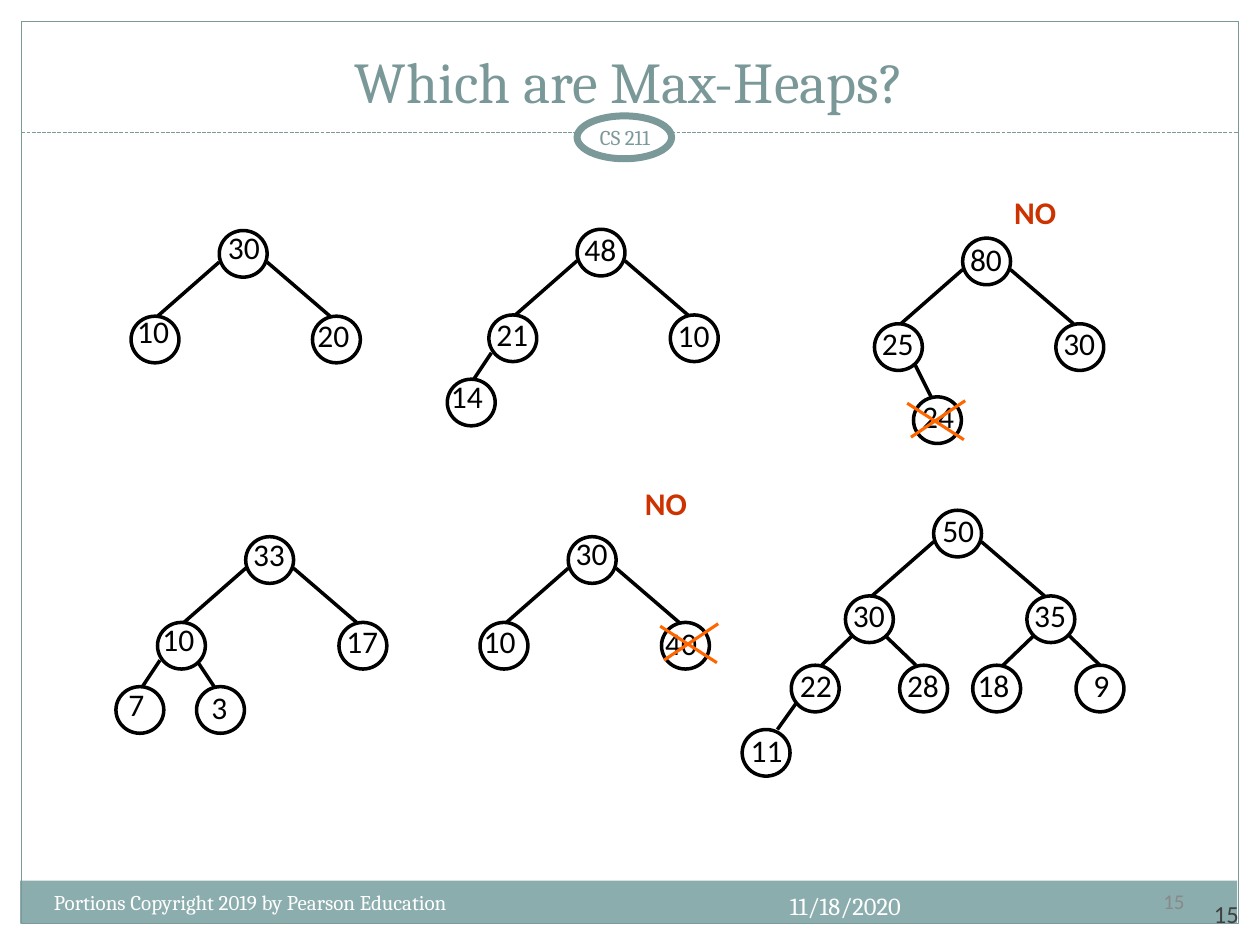
import collections

import pptx
import pptx.dml.color
import pptx.enum.dml
import pptx.enum.shapes
import pptx.enum.text
import pptx.oxml.ns
import pptx.util
from lxml import etree

Inches = pptx.util.Inches
RGBColor = pptx.dml.color.RGBColor
ALIGN = pptx.enum.text.PP_ALIGN
ANCHOR = pptx.enum.text.MSO_ANCHOR
SHAPES = pptx.enum.shapes.MSO_SHAPE

BLACK = RGBColor(0x00, 0x00, 0x00)
WHITE = RGBColor(0xFF, 0xFF, 0xFF)
TEAL = RGBColor(0x7C, 0x99, 0x9A)
TITLE_TEAL = RGBColor(0x7B, 0x98, 0x99)
FOOTER_TEAL = RGBColor(0x8C, 0xAD, 0xAE)
GREY = RGBColor(0x89, 0x89, 0x89)
DARK_GREY = RGBColor(0x40, 0x40, 0x40)
ORANGE = RGBColor(0xFF, 0x66, 0x00)
RED = RGBColor(0xCC, 0x33, 0x00)

NODE_WIDTH, NODE_HEIGHT = 0.38, 0.37

# step: parent corner to child corner; start and end: edge ends,
# measured from the parent corner and the child corner.
Branch = collections.namedtuple("Branch", "step start end")
LEFT = Branch((-0.7, 0.68), (0, 0.25), (0.21, 0))
RIGHT = Branch((0.74, 0.68), (0.38, 0.25), (0.14, 0))
SHORT_LEFT = Branch((-0.33, 0.51), (0.02, 0.3), (0.21, 0))
SHORT_RIGHT = Branch((0.31, 0.51), (0.31, 0.3), (0.14, 0))
DEEP_RIGHT = SHORT_RIGHT._replace(step=(0.31, 0.58))
MIDDLE_LEFT = Branch((-0.43, 0.55), (0.06, 0.31), (0.24, 0))
MIDDLE_RIGHT = Branch((0.43, 0.55), (0.31, 0.31), (0.13, 0))
OUTER_RIGHT = Branch((0.39, 0.55), (0.33, 0.31), (0.19, 0))
STEEP_LEFT = Branch((-0.39, 0.51), (0.04, 0.3), (0.28, 0))


def node(value, label_x, label_y, *children):
    """Describe a tree node; children are (branch, node) pairs."""
    return value, (label_x, label_y), children


TREES = [
    ((1.74, 1.83), node("30", -0.03, -0.07,
                        (LEFT, node("10", -0.05, -0.08)),
                        (RIGHT, node("20", -0.06, -0.05)))),
    ((4.58, 1.82), node("48", -0.04, -0.04,
                        (LEFT, node("21", -0.04, -0.05,
                                    (SHORT_LEFT, node("14", -0.07, -0.07)))),
                        (RIGHT, node("10", -0.04, -0.04)))),
    ((7.64, 1.89), node("80", -0.04, -0.03,
                        (LEFT, node("25", -0.04, -0.05,
                                    (DEEP_RIGHT, node("24", -0.03, -0.05)))),
                        (RIGHT, node("30", -0.04, -0.05)))),
    ((1.95, 4.26), node("33", -0.04, -0.06,
                        (LEFT, node("10", -0.06, -0.07,
                                    (SHORT_LEFT, node("7", 0, -0.06)),
                                    (SHORT_RIGHT, node("3", 0.02, -0.04)))),
                        (RIGHT, node("17", -0.04, -0.05)))),
    ((4.51, 4.26), node("30", -0.04, -0.07,
                        (LEFT, node("10", -0.07, -0.05)),
                        (RIGHT, node("40", -0.07, -0.04)))),
    ((7.41, 4.05), node("50", -0.03, -0.04,
                        (LEFT, node("30", -0.04, -0.05,
                                    (MIDDLE_LEFT, node("22", -0.03, -0.04,
                                                       (STEEP_LEFT, node("11", -0.03, -0.04)))),
                                    (MIDDLE_RIGHT, node("28", -0.04, -0.04)))),
                        (RIGHT, node("35", -0.04, -0.05,
                                     (MIDDLE_LEFT, node("18", -0.06, -0.04)),
                                     (OUTER_RIGHT, node("9", 0.04, -0.04)))))),
]


def offset(point, delta):
    return point[0] + delta[0], point[1] + delta[1]


def add_line(slide, start, end, color, width, dash=None):
    line = slide.shapes.add_connector(
        pptx.enum.shapes.MSO_CONNECTOR.STRAIGHT,
        *(Inches(value) for value in (*start, *end)))
    line.line.color.rgb = color
    line.line.width = pptx.util.Pt(width)
    if dash is not None:
        line.line.dash_style = dash
    etree.SubElement(line._element.spPr, pptx.oxml.ns.qn("a:effectLst"))


def add_outlined_shape(slide, kind, box, fill=None, line=None, width=0.75):
    shape = slide.shapes.add_shape(kind, *(Inches(value) for value in box))
    shape.shadow.inherit = False
    if fill is None:
        shape.fill.background()
    else:
        shape.fill.solid()
        shape.fill.fore_color.rgb = fill
    if line is None:
        shape.line.fill.background()
    else:
        shape.line.color.rgb = line
        shape.line.width = pptx.util.Pt(width)


def write_text(shape, text, size, color, font, align=ALIGN.LEFT,
               anchor=ANCHOR.TOP, bold=False, wrap=True):
    frame = shape.text_frame
    frame.word_wrap = wrap
    frame.vertical_anchor = anchor
    paragraph = frame.paragraphs[0]
    paragraph.alignment = align
    run = paragraph.add_run()
    run.text = text
    run.font.size = pptx.util.Pt(size)
    run.font.name = font
    run.font.bold = bold
    run.font.color.rgb = color


def add_text(slide, box, *text_settings, **options):
    shape = slide.shapes.add_textbox(*(Inches(value) for value in box))
    write_text(shape, *text_settings, **options)


def add_tree(slide, corner, tree):
    """Draw a node and, recursively, everything below it."""
    value, label_offset, children = tree
    placed = [(branch, offset(corner, branch.step), child)
              for branch, child in children]
    for branch, child_corner, _ in placed:
        add_line(slide, offset(corner, branch.start),
                 offset(child_corner, branch.end), BLACK, 2)
    add_outlined_shape(slide, SHAPES.OVAL, (*corner, NODE_WIDTH, NODE_HEIGHT),
                       WHITE, BLACK, 2)
    label_width = 0.45 if len(value) == 2 else 0.33
    add_text(slide, (*offset(corner, label_offset), label_width, 0.4),
             value, 18, BLACK, "Calibri", wrap=False)
    for _, child_corner, child in placed:
        add_tree(slide, child_corner, child)


def add_rejection(slide, cross, label):
    """Cross out a node and write NO beside its tree."""
    add_line(slide, offset(cross, (0, 0.02)), offset(cross, (0.45, 0.31)), ORANGE, 1.75)
    add_line(slide, offset(cross, (0.03, 0.29)), offset(cross, (0.46, 0)), ORANGE, 1.75)
    add_text(slide, (*label, 0.78, 0.4), "NO", 18, RED, "Calibri", bold=True)


def add_frame(slide):
    add_outlined_shape(slide, SHAPES.RECTANGLE, (0.16, 6.99, 9.66, 0.34), FOOTER_TEAL)
    add_outlined_shape(slide, SHAPES.RECTANGLE, (0.17, 0.17, 9.66, 7.16), line=TEAL)
    add_line(slide, (0.17, 1.05), (9.83, 1.05), TEAL, 0.75,
             pptx.enum.dml.MSO_LINE.SQUARE_DOT)
    add_outlined_shape(slide, SHAPES.OVAL, (4.58, 0.92, 0.75, 0.34), WHITE, TEAL, 4)
    add_text(slide, (4.5, 0.92, 0.92, 0.33), "CS 211", 12, TEAL, "Cambria",
             align=ALIGN.CENTER, anchor=ANCHOR.MIDDLE)


def add_title(slide, text):
    title = slide.shapes.title
    title.left, title.top = Inches(0.33), Inches(0.25)
    title.width, title.height = Inches(9.33), Inches(0.71)
    write_text(title, text, 33, TITLE_TEAL, "Cambria",
               align=ALIGN.CENTER, anchor=ANCHOR.BOTTOM)


def add_footer(slide):
    add_text(slide, (0.33, 7.01, 4.08, 0.4),
             "Portions Copyright 2019 by Pearson Education", 12, WHITE, "Cambria")
    add_text(slide, (5.59, 7.02, 1.66, 0.4), "11/18/2020", 14, WHITE, "Cambria",
             align=ALIGN.RIGHT)
    add_text(slide, (7.17, 6.95, 2.33, 0.4), "15", 12, GREY, "Calibri",
             align=ALIGN.RIGHT, anchor=ANCHOR.MIDDLE)
    add_text(slide, (9.43, 7.09, 0.5, 0.33), "15", 14, DARK_GREY, "Calibri",
             align=ALIGN.RIGHT, anchor=ANCHOR.MIDDLE)


def main():
    presentation = pptx.Presentation()
    presentation.slide_width = Inches(10)
    presentation.slide_height = Inches(7.5)
    slide = presentation.slides.add_slide(presentation.slide_layouts[5])
    add_title(slide, "Which are Max-Heaps?")
    add_frame(slide)
    for corner, tree in TREES:
        add_tree(slide, corner, tree)
    add_rejection(slide, cross=(7.2, 3.18), label=(7.95, 1.48))
    add_rejection(slide, cross=(5.24, 4.95), label=(5.02, 3.79))
    add_footer(slide)
    presentation.save("out.pptx")


if __name__ == "__main__":
    main()
